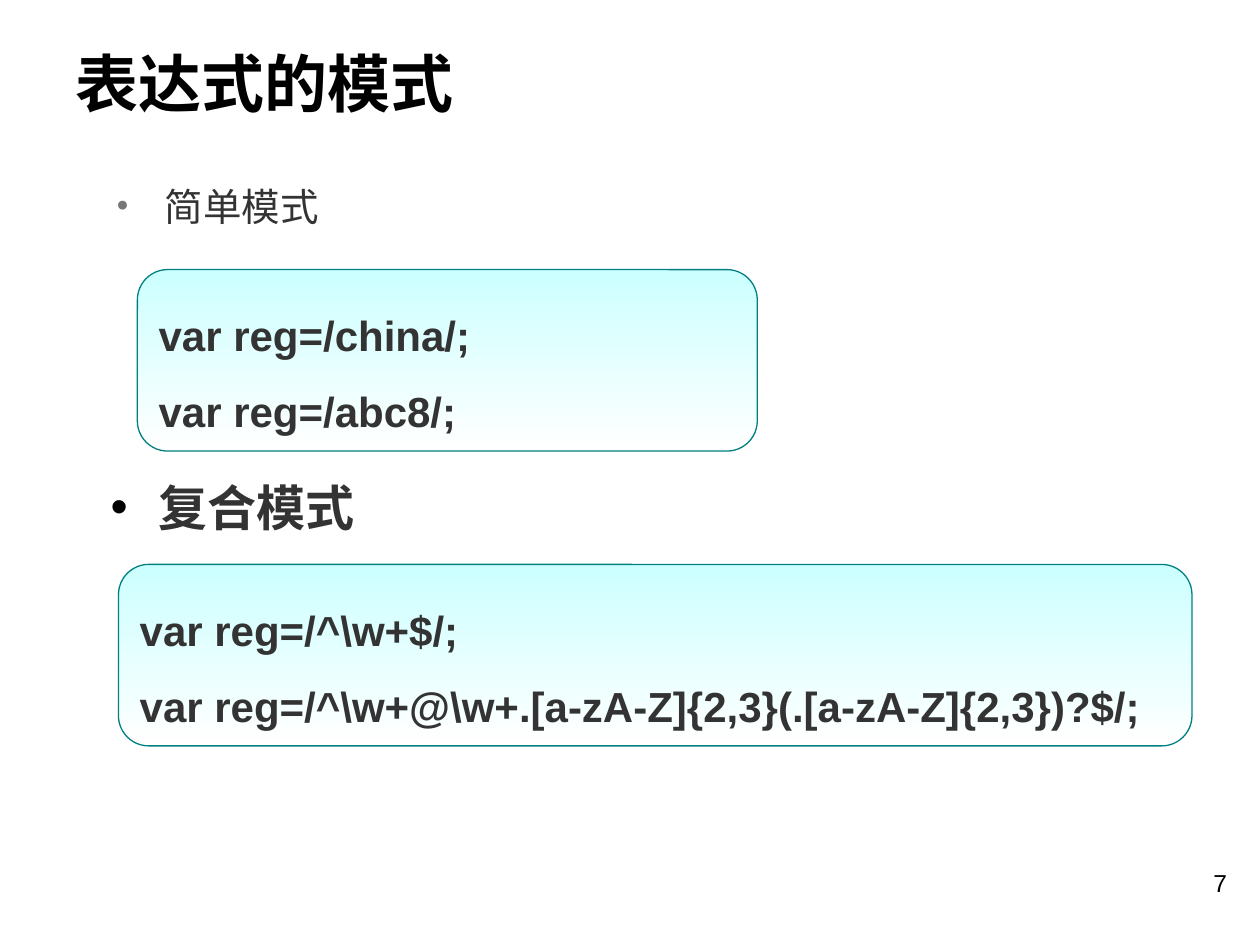
from dataclasses import dataclass

from pptx import Presentation
from pptx import util as u
from pptx.dml.color import RGBColor
from pptx.enum import shapes, text
from pptx.oxml import parse_xml
from pptx.oxml.ns import nsdecls

BLACK, DARK, GREY = "000000", "333333", "777777"
TEAL, AQUA, WHITE = "008080", "CCFFFF", "FFFFFF"
BULLET_INDENT = u.Inches(0.38)


@dataclass
class Label:
    content: str
    left: float
    top: float
    width: float
    height: float
    size: int
    color: str = DARK
    bold: bool = False
    centered: bool = False
    bullet_color: str = ""
    bullet_percent: int = 100


@dataclass
class CodeBox:
    lines: list[str]
    left: float
    top: float
    width: float
    height: float = 1.44


def rgb(value: str) -> RGBColor:
    return RGBColor.from_string(value)


def style_paragraph(paragraph, size: int, color: str, bold: bool) -> None:
    for run in paragraph.runs:
        run.font.name = "Arial"
        run.font.size = u.Pt(size)
        run.font.bold = bold
        run.font.color.rgb = rgb(color)


def add_bullet(paragraph, color: str, percent: int) -> None:
    properties = paragraph._p.get_or_add_pPr()
    properties.set("marL", str(BULLET_INDENT))
    properties.set("indent", str(-BULLET_INDENT))
    namespace = nsdecls("a")
    for xml in (
        f'<a:buClr {namespace}><a:srgbClr val="{color}"/></a:buClr>',
        f'<a:buSzPct {namespace} val="{percent * 1000}"/>',
        f'<a:buFont {namespace} typeface="Arial"/>',
        f'<a:buChar {namespace} char="•"/>',
    ):
        properties.append(parse_xml(xml))


def add_label(slide, label: Label) -> None:
    shape = slide.shapes.add_textbox(
        u.Inches(label.left), u.Inches(label.top),
        u.Inches(label.width), u.Inches(label.height))
    shape.text_frame.word_wrap = True
    shape.text_frame.text = label.content
    paragraph = shape.text_frame.paragraphs[0]
    if label.centered:
        paragraph.alignment = text.PP_ALIGN.CENTER
    if label.bullet_color:
        add_bullet(paragraph, label.bullet_color, label.bullet_percent)
    style_paragraph(paragraph, label.size, label.color, label.bold)


def add_code_box(slide, box: CodeBox) -> None:
    shape = slide.shapes.add_shape(
        shapes.MSO_SHAPE.ROUNDED_RECTANGLE,
        u.Inches(box.left), u.Inches(box.top),
        u.Inches(box.width), u.Inches(box.height))
    shape.shadow.inherit = False
    shape.line.color.rgb = rgb(TEAL)
    shape.line.width = u.Pt(0.75)

    # Gradient from aqua at the top to white at the bottom
    shape.fill.gradient()
    shape.fill.gradient_angle = 270
    for stop, color in zip(shape.fill.gradient_stops, (AQUA, WHITE)):
        stop.color.rgb = rgb(color)

    frame = shape.text_frame
    frame.word_wrap = True
    frame.vertical_anchor = text.MSO_ANCHOR.MIDDLE
    frame.text = "\n".join(box.lines)
    for paragraph in frame.paragraphs:
        paragraph.alignment = text.PP_ALIGN.LEFT
        paragraph.line_spacing = 1.5
        style_paragraph(paragraph, 24, DARK, True)


LABELS = [
    Label("7", 9.37, 6.84, 0.63, 0.34, 14, BLACK, centered=True),
    Label("表达式的模式", 0.5, 0.3, 9, 1.25, 36, BLACK, bold=True),
    Label("简单模式", 0.83, 1.4, 8.67, 0.79, 22,
          bullet_color=GREY, bullet_percent=85),
    Label("复合模式", 0.78, 3.74, 8.67, 0.79, 28, bold=True,
          bullet_color=BLACK),
]

CODE_BOXES = [
    CodeBox(["var reg=/china/;", "var reg=/abc8/;"], 1.09, 2.14, 4.92),
    CodeBox([r"var reg=/^\w+$/;",
             r"var reg=/^\w+@\w+.[a-zA-Z]{2,3}(.[a-zA-Z]{2,3})?$/;"],
            0.94, 4.48, 8.52),
]


def main() -> None:
    presentation = Presentation()
    presentation.slide_width = u.Inches(10)
    presentation.slide_height = u.Inches(7.5)
    slide = presentation.slides.add_slide(presentation.slide_layouts[6])

    # Page number, title and section headings
    for label in LABELS:
        add_label(slide, label)

    # Code examples
    for box in CODE_BOXES:
        add_code_box(slide, box)

    presentation.save("out.pptx")


if __name__ == "__main__":
    main()
